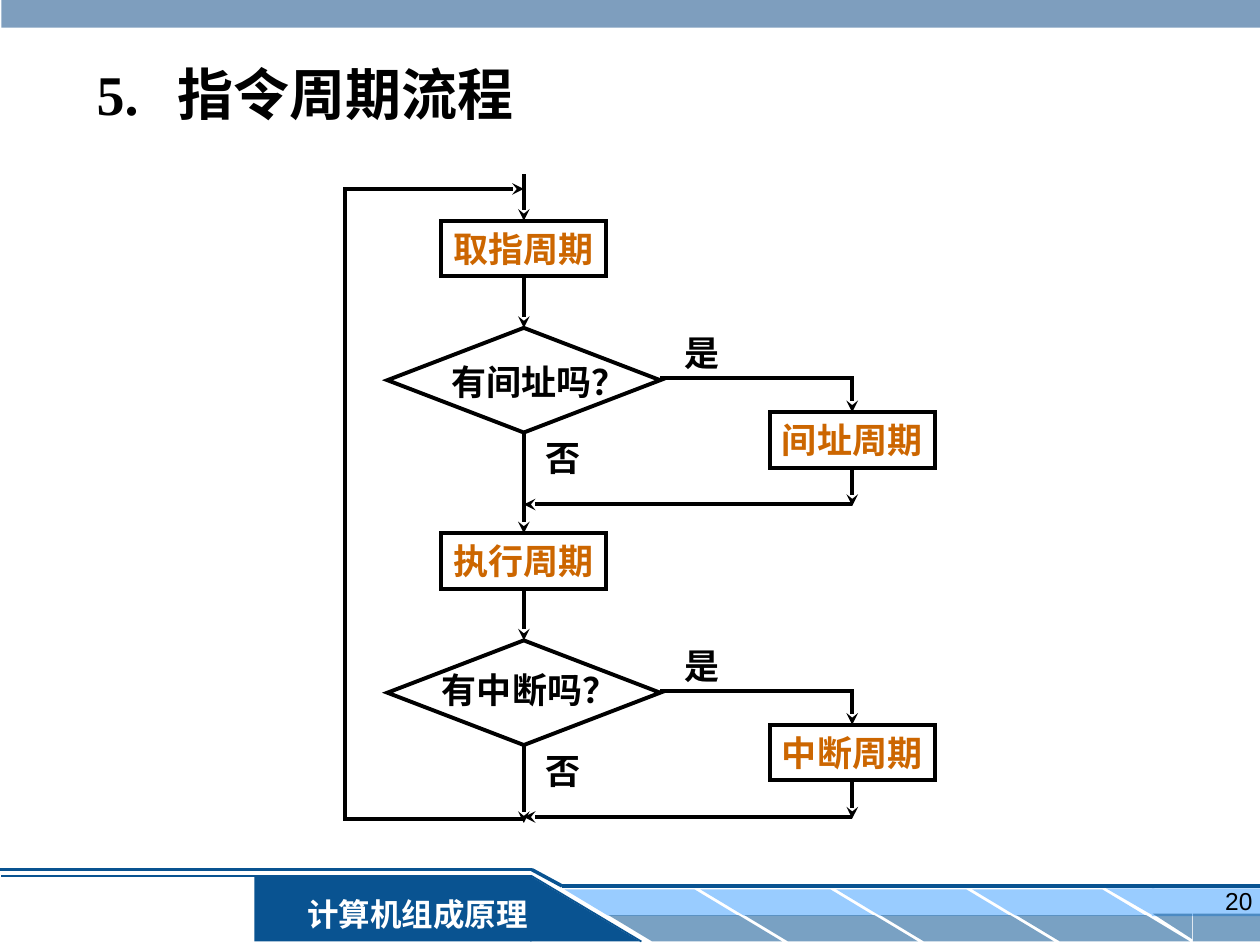
from dataclasses import dataclass

import pptx
import pptx.dml.color
import pptx.enum.shapes
import pptx.enum.text
import pptx.oxml
import pptx.oxml.ns
import pptx.util

Cm = pptx.util.Cm
Pt = pptx.util.Pt
MSO = pptx.enum.shapes.MSO_SHAPE
ALIGN = pptx.enum.text.PP_ALIGN
TOP, LEFT, BOTTOM, RIGHT = range(4)


@dataclass(frozen=True)
class Theme:
    navy: str = "095391"
    steel: str = "336699"
    sky: str = "99CCFF"
    black: str = "000000"
    white: str = "FFFFFF"
    orange: str = "CC6600"
    serif: str = "Times New Roman"
    sans: str = "Arial"
    title: float = 32
    body: float = 20
    footer: float = 18
    page: float = 14
    stroke: float = 2.25


T = Theme()


def rgb(value):
    return pptx.dml.color.RGBColor.from_string(value)


def add_xml(parent, tag, **attrs):
    child = pptx.oxml.parse_xml(f"<a:{tag} {pptx.oxml.ns.nsdecls('a')}/>")
    for name, value in attrs.items():
        child.set(name, str(value))
    parent.append(child)
    return child


def write(sp, text, size=T.body, color=T.black, font=T.serif, bold=True,
          align=ALIGN.LEFT, wrap=False, tab=None):
    """Set the text of a shape; tab is a tab stop in cm."""
    tf = sp.text_frame
    tf.auto_size = pptx.enum.text.MSO_AUTO_SIZE.NONE
    tf.vertical_anchor = pptx.enum.text.MSO_ANCHOR.TOP
    tf.word_wrap = wrap
    tf.margin_left = tf.margin_right = Cm(0.25)
    tf.margin_top = tf.margin_bottom = Cm(0.13)
    p = tf.paragraphs[0]
    p.alignment = align
    if tab:
        tabs = add_xml(p._p.get_or_add_pPr(), "tabLst")
        add_xml(tabs, "tab", pos=int(Cm(tab)), algn="l")
    r = p.add_run()
    r.text = text
    r.font.size, r.font.bold, r.font.name = Pt(size), bold, font
    r.font.color.rgb = rgb(color)


def stroke(sp, color=T.black, width=T.stroke, arrow=False):
    sp.line.color.rgb = rgb(color)
    sp.line.width = Pt(width)
    ln = sp.line._get_or_add_ln()
    add_xml(ln, "miter", lim=800000)
    if arrow:
        add_xml(ln, "tailEnd", type="stealth")


class Region:
    """Draws parts at cm offsets from the region's top left corner."""

    def __init__(self, s, x, y):
        self.shapes, self.x, self.y = s.shapes, x, y

    def at(self, x, y):
        return Cm(self.x + x), Cm(self.y + y)

    def shape(self, kind, x, y, w, h, fill=None, alpha=None, outline=False):
        sp = self.shapes.add_shape(kind, *self.at(x, y), Cm(w), Cm(h))
        sp.shadow.inherit = False
        if fill:
            sp.fill.solid()
            sp.fill.fore_color.rgb = rgb(fill)
            if alpha:
                clr = sp.fill._xPr.find(".//" + pptx.oxml.ns.qn("a:srgbClr"))
                add_xml(clr, "alpha", val=alpha * 1000)
        else:
            sp.fill.background()
        if outline:
            stroke(sp)
        else:
            sp.line.fill.background()
        return sp

    def label(self, text, x, y, w, h=1.12, **fmt):
        write(self.shapes.add_textbox(*self.at(x, y), Cm(w), Cm(h)), text, **fmt)

    def line(self, start, end, begin=None, finish=None, **fmt):
        """begin and finish are (shape, side) pairs to join."""
        c = self.shapes.add_connector(pptx.enum.shapes.MSO_CONNECTOR.STRAIGHT,
                                      *self.at(*start), *self.at(*end))
        if begin:
            c.begin_connect(*begin)
        if finish:
            c.end_connect(*finish)
        stroke(c, **fmt)
        add_xml(c._element.spPr, "effectLst")

    def bent_arrow(self, *points):
        first, *rest = [self.at(*pt) for pt in points]
        fb = self.shapes.build_freeform(*first)
        fb.add_line_segments(rest, close=False)
        sp = fb.convert_to_shape()
        sp.fill.background()
        sp.shadow.inherit = False
        stroke(sp, arrow=True)


def footer(s, x, y):
    reg = Region(s, x, y)
    reg.shape(MSO.RECTANGLE, 5.13, 0.13, 5.59, 1.32, T.navy)
    slope = 10.72
    for start, end, width in (((12.93, 1.45), (slope, 0.13), 1),
                              ((slope, 0.13), (0.03, 0.13), 1.5),
                              ((0, 0), (slope, 0), 2)):
        reg.line(start, end, color=T.navy, width=width)
    for i in range(4):
        for left, top, fill, alpha in ((11.38, 0.4, T.sky, None),
                                       (12.27, 0.92, T.navy, 54)):
            sp = reg.shape(MSO.PARALLELOGRAM, left + i * 2.74, top, 3.5, 0.53, fill, alpha)
            sp.adjustments[0] = 1.66
            sp._element.spPr.xfrm.set("flipH", "1")
    for left, top, w, tri_left, tri_w, tri_h, fill, alpha in (
            (23.22, 0.38, 2.18, 22.3, 0.97, 0.56, T.sky, None),
            (24.05, 0.89, 1.35, 23.24, 0.79, 0.51, T.navy, 54)):
        reg.shape(MSO.RECTANGLE, left, top, w, 0.56, fill, alpha)
        reg.shape(MSO.RIGHT_TRIANGLE, tri_left, top, tri_w, tri_h, fill, alpha).rotation = 180
    reg.line((11.33, 0.33), (25.4, 0.33), color=T.navy, width=2)
    course = reg.shape(MSO.RECTANGLE, 5.82, 0.38, 5.2, 1.02, T.navy)
    write(course, "计算机组成原理", size=T.footer, color=T.white, align=ALIGN.CENTER, wrap=True)
    reg.shape(MSO.RIGHT_TRIANGLE, 10.69, 0.13, 2.21, 1.32, T.navy)
    reg.line((slope, 0), (11.33, 0.33), color=T.navy, width=2)
    reg.label("20", 19.58, 0.2, 5.92, 1.32, size=T.page, font=T.sans, bold=False,
              align=ALIGN.RIGHT, wrap=True)


def title(s, x, y, w, h):
    sp = s.shapes.title
    sp.left, sp.top, sp.width, sp.height = Cm(x), Cm(y), Cm(w), Cm(h)
    write(sp, "5.\t指令周期流程", size=T.title, wrap=True, tab=1.63)


MAIN, SIDE = 3.6, 10.22  # axes of the main and the side column
CYCLE_W, CYCLE_H = 3.33, 1.12


def cycle(reg, text, axis, y):
    sp = reg.shape(MSO.RECTANGLE, axis - CYCLE_W / 2, y, CYCLE_W, CYCLE_H, outline=True)
    write(sp, text, color=T.orange)
    return sp


def stage(s, x, y, step, question, detour, question_at):
    """A cycle, its question and the optional detour; returns first box and diamond."""
    reg = Region(s, x, y)
    box = cycle(reg, step, MAIN, 0)
    diamond = reg.shape(MSO.DIAMOND, MAIN - 2.75, 2.16, 5.5, 2.11, outline=True)
    reg.label(question, *question_at, 4.04)
    reg.line((MAIN, CYCLE_H), (MAIN, 2.16), (box, BOTTOM), (diamond, TOP), arrow=True)
    side = cycle(reg, detour, SIDE, 3.86)
    reg.bent_arrow((6.35, 3.18), (SIDE, 3.18), (SIDE, 3.86))
    reg.label("是", 6.58, 2.11, 1.22)
    reg.line((SIDE, 4.98), (SIDE, 5.75), (side, BOTTOM), arrow=True)
    reg.line((SIDE, 5.72), (MAIN, 5.72), arrow=True)
    reg.label("否", 3.79, 4.22, 1.22)
    return box, diamond


def flowchart(s, x, y):
    reg = Region(s, x, y)
    first, pitch = 0.94, 6.3
    fetch, indirect = stage(s, x, y + first, "取指周期", "有间址吗？", "间址周期", (1.89, 2.68))
    execute, interrupt = stage(s, x, y + first + pitch, "执行周期", "有中断吗？",
                               "中断周期", (1.7, 2.59))
    reg.line((MAIN, 0), (MAIN, first), finish=(fetch, TOP), arrow=True)
    reg.line((MAIN, 5.2), (MAIN, first + pitch), (indirect, BOTTOM), (execute, TOP), arrow=True)
    reg.line((MAIN, 11.5), (MAIN, 13.08), (interrupt, BOTTOM), arrow=True)
    reg.bent_arrow((MAIN, 13), (0, 13), (0, 0.3), (MAIN, 0.3))


def main():
    prs = pptx.Presentation()
    prs.slide_width, prs.slide_height = Cm(25.4), Cm(19.05)
    s = prs.slides.add_slide(prs.slide_layouts[5])
    footer(s, 0, 17.53)
    Region(s, 0, 0).shape(MSO.RECTANGLE, 0.03, -0.08, 25.4, 0.64, T.steel, 63)
    title(s, 1.7, 1.07, 15.88, 1.63)
    flowchart(s, 6.96, 3.51)
    prs.save("out.pptx")


if __name__ == "__main__":
    main()
